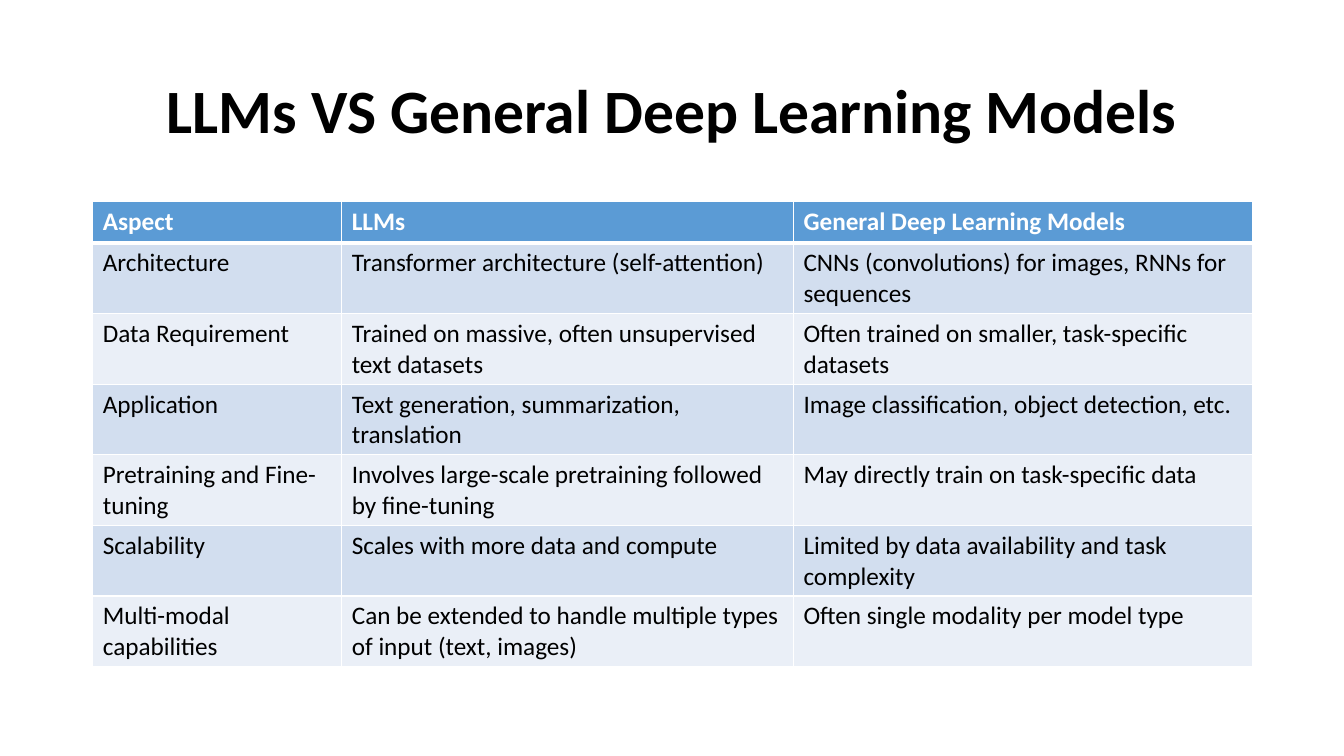
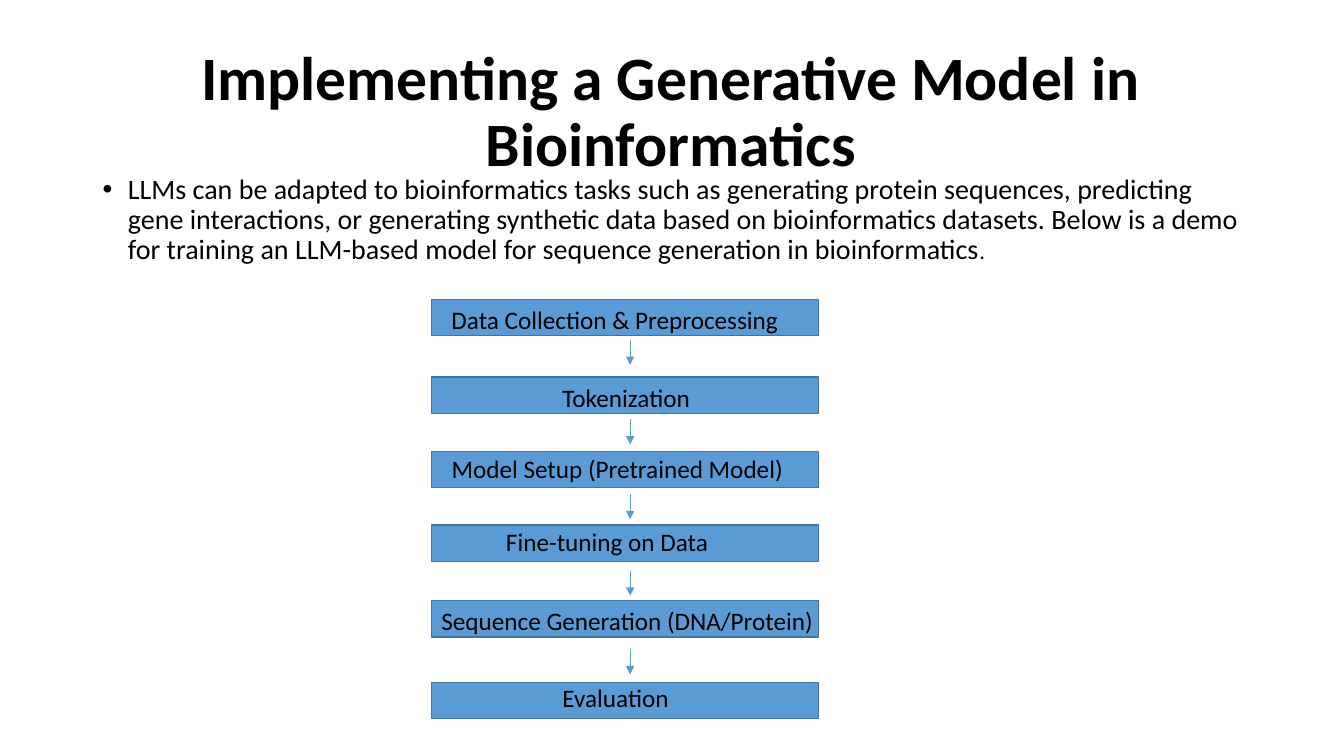
from lxml.etree import SubElement
from pptx import Presentation
from pptx.dml.color import RGBColor
from pptx.enum.shapes import MSO_CONNECTOR, MSO_SHAPE
from pptx.enum.text import MSO_ANCHOR, PP_ALIGN
from pptx.oxml import parse_xml
from pptx.oxml.ns import nsdecls, qn
from pptx.util import Emu, Pt

PX = 9144
FONT = "Calibri"
BLACK = RGBColor(0x00, 0x00, 0x00)
WHITE = RGBColor(0xFF, 0xFF, 0xFF)
BLUE = RGBColor(0x5B, 0x9B, 0xD5)
DARK_BLUE = RGBColor(0x43, 0x73, 0x9E)
BAND_DARK = RGBColor(0xD2, 0xDE, 0xEF)
BAND_LIGHT = RGBColor(0xEA, 0xEF, 0xF7)

COMPARISON = [
    ("Aspect", "LLMs", "General Deep Learning Models"),
    ("Architecture", "Transformer architecture (self-attention)",
     "CNNs (convolutions) for images, RNNs for sequences"),
    ("Data Requirement", "Trained on massive, often unsupervised text datasets",
     "Often trained on smaller, task-specific datasets"),
    ("Application", "Text generation, summarization, translation",
     "Image classification, object detection, etc."),
    ("Pretraining and Fine-tuning",
     "Involves large-scale pretraining followed by fine-tuning",
     "May directly train on task-specific data"),
    ("Scalability", "Scales with more data and compute",
     "Limited by data availability and task complexity"),
    ("Multi-modal capabilities",
     "Can be extended to handle multiple types of input (text, images)",
     "Often single modality per model type"),
]
COLUMN_WIDTHS = (247, 448, 455)
HEADER_HEIGHT, ROW_HEIGHT = 41, 70

INTRODUCTION = (
    "LLMs can be adapted to bioinformatics tasks such as generating protein "
    "sequences, predicting gene interactions, or generating synthetic data based "
    "on bioinformatics datasets. Below is a demo for training an LLM-based model "
    "for sequence generation in bioinformatics"
)

# label, box top, label offset x, label offset y, label width, gap above next arrow
STEPS = [
    ("Data Collection & Preprocessing", 0, 10, 0, 370, 4),
    ("Tokenization", 77, 120, 0, 165, 6),
    ("Model Setup (Pretrained Model)", 151, 10, -3, 405, 6),
    ("Fine-tuning on Data", 224, 64, -4, 235, 9),
    ("Sequence Generation (DNA/Protein)", 299, 0, 0, 426, 12),
    ("Evaluation", 380, 120, -5, 151, None),
]
STEP_HEIGHT, LABEL_HEIGHT, ARROW_LENGTH = 36, 40, 25


def px(*lengths):
    return [Emu(length * PX) for length in lengths]


def format_run(run, size, color=BLACK, bold=False):
    run.font.name = FONT
    run.font.size = Pt(size)
    run.font.color.rgb = color
    run.font.bold = bold


def add_text(slide, box, text, size, bold=False):
    shape = slide.shapes.add_textbox(*px(*box))
    shape.text_frame.word_wrap = True
    paragraph = shape.text_frame.paragraphs[0]
    paragraph.text = text
    format_run(paragraph.runs[0], size, bold=bold)
    return shape.text_frame


def add_title(slide, box, text):
    text_frame = add_text(slide, box, text, 44, bold=True)
    text_frame.vertical_anchor = MSO_ANCHOR.MIDDLE
    text_frame.paragraphs[0].alignment = PP_ALIGN.CENTER
    text_frame.paragraphs[0].line_spacing = 0.9


def set_borders(cell, bottom_width):
    properties = cell._tc.get_or_add_tcPr()
    widths = (("lnL", 1), ("lnR", 1), ("lnT", 1), ("lnB", bottom_width))
    for index, (side, width) in enumerate(widths):
        border = parse_xml(
            f'<a:{side} {nsdecls("a")} w="{Pt(width)}"><a:solidFill>'
            f'<a:srgbClr val="{WHITE}"/></a:solidFill></a:{side}>'
        )
        properties.insert(index, border)


def add_comparison(slide, left, top):
    height = HEADER_HEIGHT + ROW_HEIGHT * (len(COMPARISON) - 1)
    box = px(left, top, sum(COLUMN_WIDTHS), height)
    table = slide.shapes.add_table(len(COMPARISON), len(COLUMN_WIDTHS), *box).table
    for column, width in zip(table.columns, px(*COLUMN_WIDTHS)):
        column.width = width
    for row_index, texts in enumerate(COMPARISON):
        header = row_index == 0
        band = BAND_DARK if row_index % 2 else BAND_LIGHT
        row = table.rows[row_index]
        row.height = px(HEADER_HEIGHT if header else ROW_HEIGHT)[0]
        for cell, text in zip(row.cells, texts):
            cell.text_frame.text = text
            format_run(cell.text_frame.paragraphs[0].runs[0], 18,
                       WHITE if header else BLACK, header)
            cell.fill.solid()
            cell.fill.fore_color.rgb = BLUE if header else band
            set_borders(cell, 3 if header else 1)


def add_introduction(slide, box):
    paragraph = add_text(slide, box, INTRODUCTION, 20).paragraphs[0]
    period = paragraph.add_run()
    period.text = "."
    format_run(period, 16)
    paragraph.line_spacing = 0.9
    paragraph.space_before = Pt(10)
    properties = paragraph._p.get_or_add_pPr()
    properties.set("marL", str(25 * PX))
    properties.set("indent", str(-25 * PX))
    SubElement(properties, qn("a:buFont"), typeface="Arial")
    SubElement(properties, qn("a:buChar"), char="•")


def add_step_box(slide, box):
    shape = slide.shapes.add_shape(MSO_SHAPE.RECTANGLE, *px(*box))
    shape.shadow.inherit = False
    shape.fill.solid()
    shape.fill.fore_color.rgb = BLUE
    shape.line.color.rgb = DARK_BLUE
    shape.line.width = Pt(1)


def add_down_arrow(slide, x, top):
    ends = px(x, top, x, top + ARROW_LENGTH)
    connector = slide.shapes.add_connector(MSO_CONNECTOR.STRAIGHT, *ends)
    connector.line.color.rgb = BLUE
    connector.line.width = Pt(0.5)
    properties = connector._element.spPr
    SubElement(properties.find(qn("a:ln")), qn("a:tailEnd"), type="triangle")
    SubElement(properties, qn("a:effectLst"))


def add_pipeline(slide, left, top, width):
    for label, offset, label_x, label_y, label_width, arrow_gap in STEPS:
        step_top = top + offset
        add_step_box(slide, (left, step_top, width, STEP_HEIGHT))
        add_text(slide, (left + label_x, step_top + label_y,
                         label_width, LABEL_HEIGHT), label, 18)
        if arrow_gap is not None:
            add_down_arrow(slide, left + width // 2 + 5,
                           step_top + STEP_HEIGHT + arrow_gap)


def build_comparison_slide(slide):
    add_title(slide, (92, 40, 1150, 145), "LLMs VS General Deep Learning Models")
    add_comparison(slide, 92, 200)


def build_pipeline_slide(slide):
    add_title(slide, (20, 40, 1291, 145),
              "Implementing a Generative Model in Bioinformatics")
    add_introduction(slide, (92, 169, 1150, 100))
    add_pipeline(slide, 428, 297, 384)


def main():
    presentation = Presentation()
    presentation.slide_width, presentation.slide_height = px(1333, 750)
    blank = presentation.slide_layouts[6]
    for build in (build_comparison_slide, build_pipeline_slide):
        build(presentation.slides.add_slide(blank))
    presentation.save("out.pptx")


if __name__ == "__main__":
    main()
